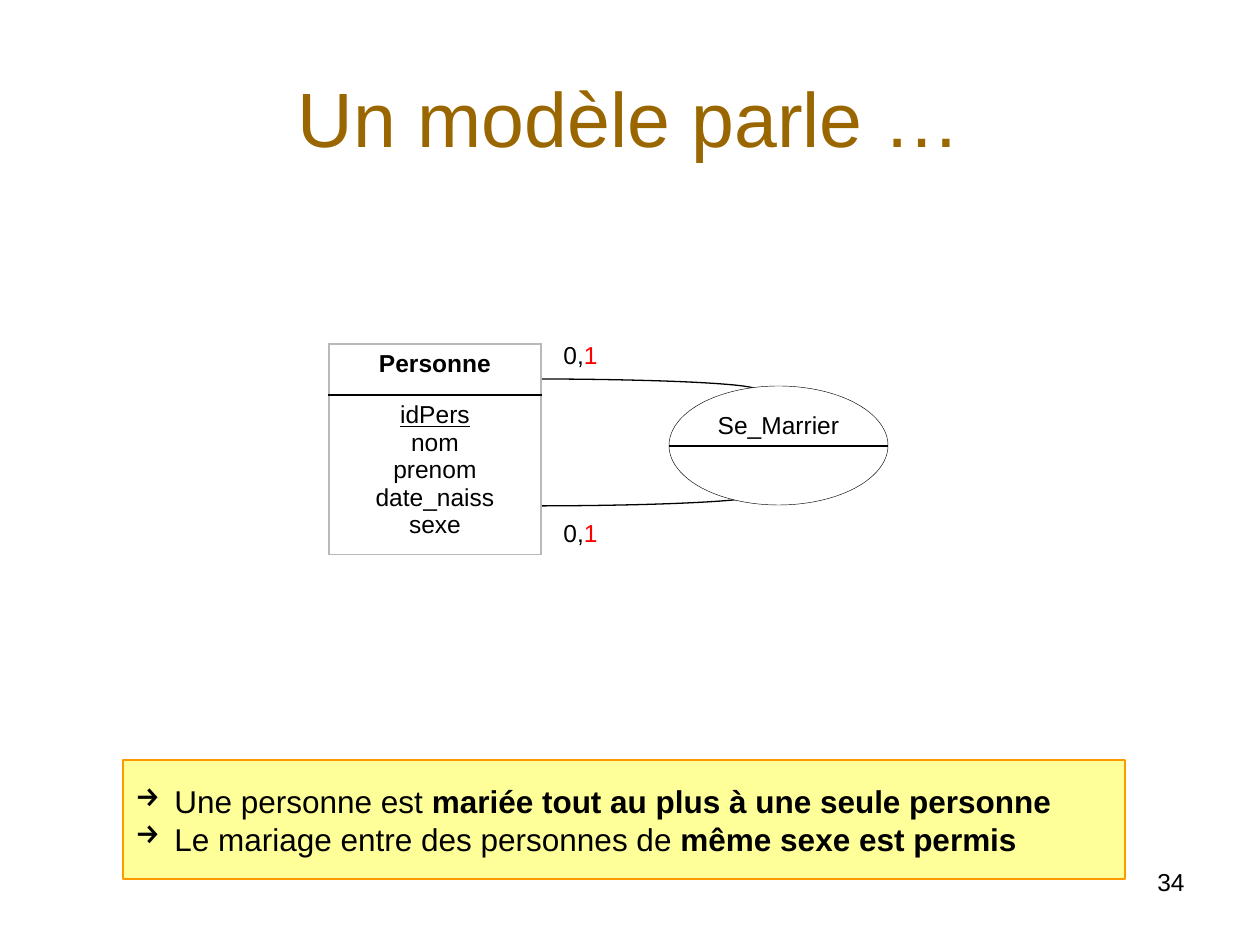
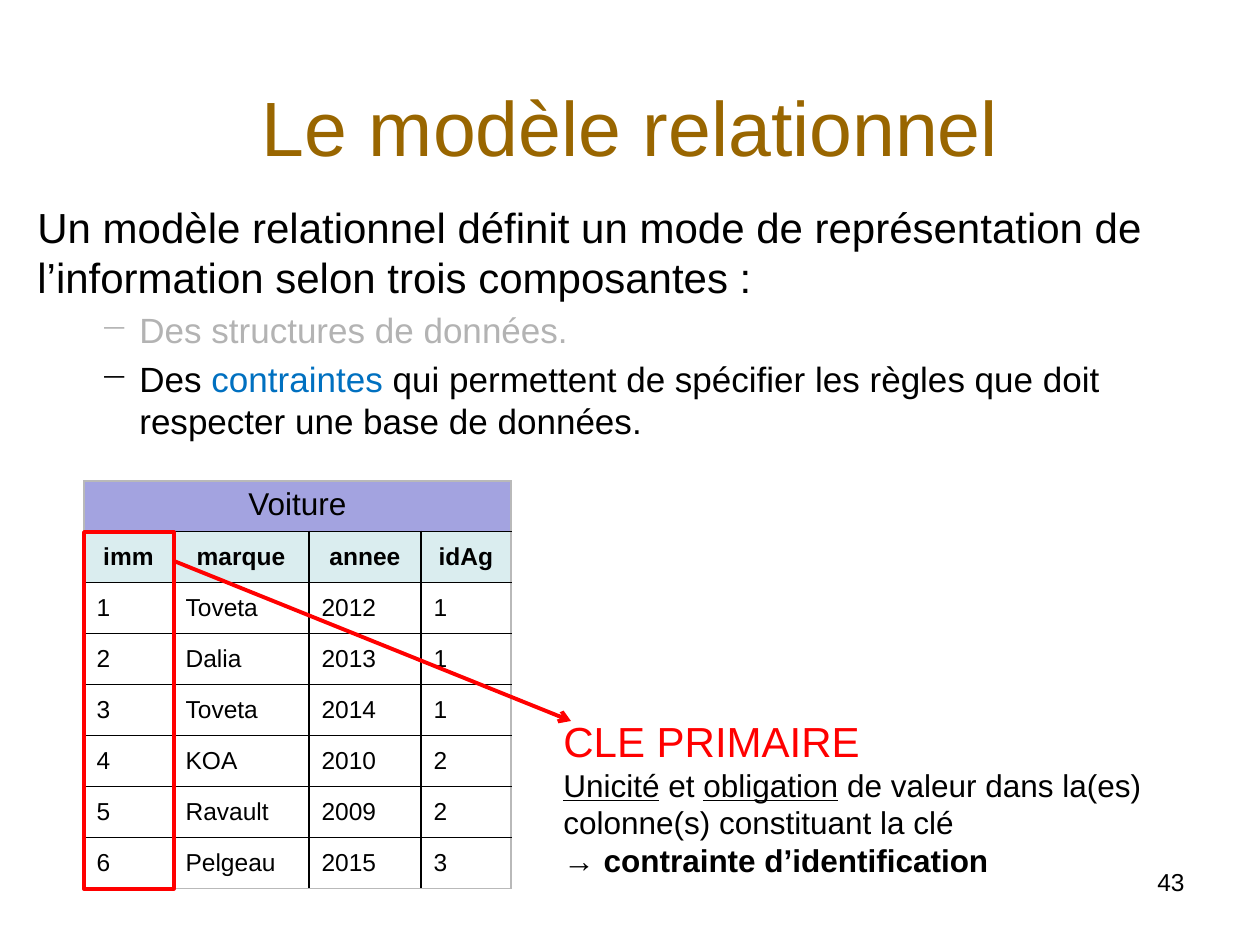
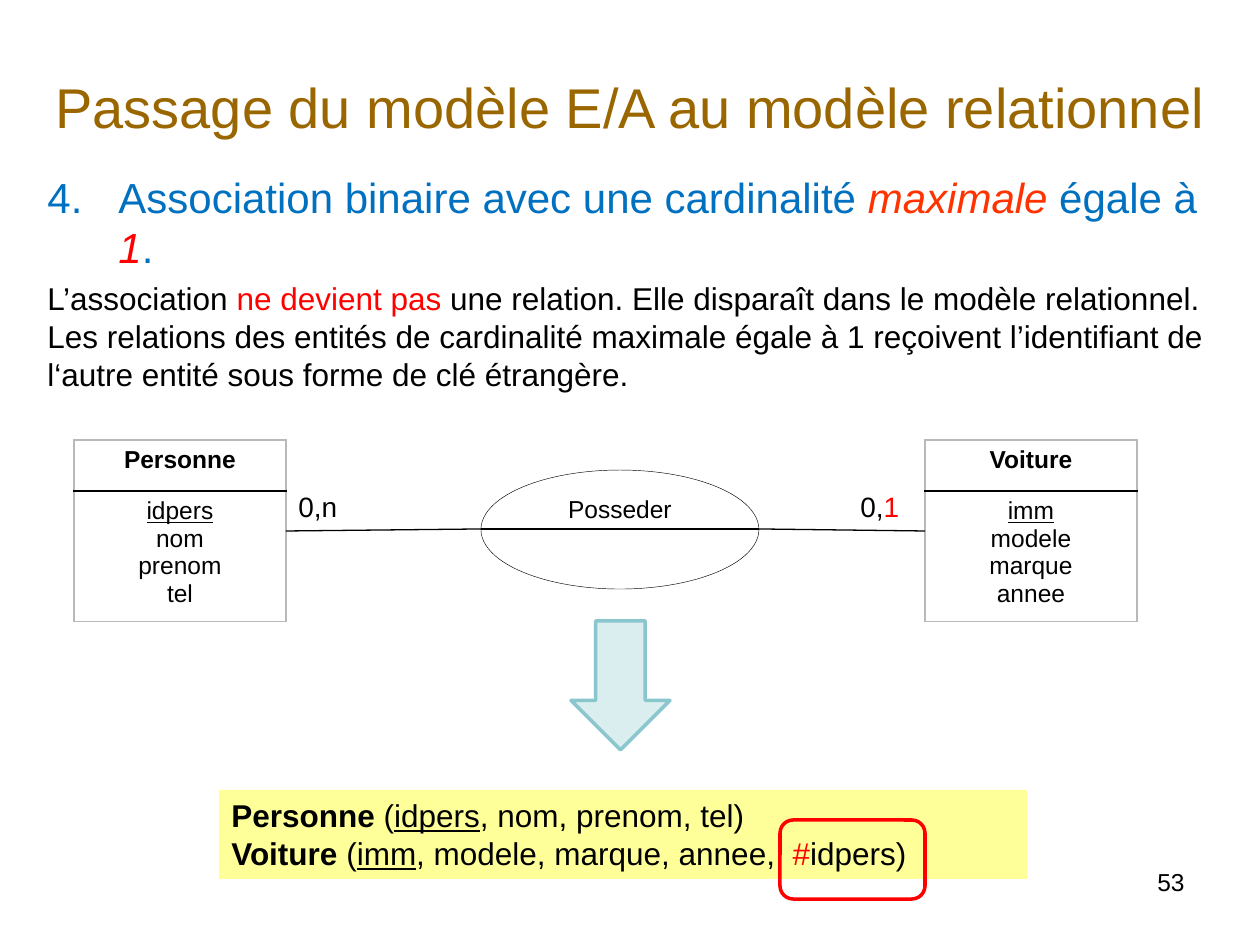
from pptx import Presentation
from pptx.dml.color import RGBColor
from pptx.enum.shapes import MSO_CONNECTOR, MSO_SHAPE
from pptx.enum.text import MSO_ANCHOR, PP_ALIGN
from pptx.oxml.ns import qn
from pptx.util import Emu, Pt
from lxml.etree import SubElement

PX = 914400 / 126
COLORS = {
    "black": "000000", "white": "FFFFFF", "title": "996600", "red": "FF0000",
    "orange": "FF9900", "vermilion": "FF3300", "yellow": "FFFF99", "blue": "0070C0",
    "faded": "B3B3B3", "lavender": "A3A3E0", "mint": "DAEDEF", "teal": "8AC6CD",
    "edge": "B9B9B9",
}
RGB = {name: RGBColor.from_string(value) for name, value in COLORS.items()}
RED, BOLD, UNDERLINE = {"color": "red"}, {"bold": True}, {"underline": True}


def write(frame, *spans, size=14, color="black", bold=False, align=PP_ALIGN.LEFT,
          before=0, bullet=None, start=None, indent=0):
    para = frame.paragraphs[0]
    if para.runs:
        para = frame.add_paragraph()
        para.space_before = Pt(before)
    para.alignment = align
    if bullet or start:
        left, hanging = indent
        properties = para._p.get_or_add_pPr()
        properties.set("marL", str(round(left * PX)))
        properties.set("indent", str(round(-hanging * PX)))
        if bullet:
            SubElement(properties, qn("a:buChar"), char=bullet)
        else:
            SubElement(properties, qn("a:buAutoNum"), type="arabicPeriod", startAt=str(start))
    for span in spans:
        text, style = (span, {}) if isinstance(span, str) else span
        run = para.add_run()
        run.text = text
        font = run.font
        font.name, font.size = "Arial", Pt(size)
        font.color.rgb = RGB[style.get("color", color)]
        font.bold = style.get("bold", bold)
        font.italic = style.get("italic", False)
        font.underline = style.get("underline", False)
        if "spacing" in style:
            run._r.get_or_add_rPr().set("spc", str(style["spacing"] * 100))


def add_box(page, kind, *place, fill=None, line=None, weight=1, anchor=MSO_ANCHOR.TOP):
    place = [Emu(round(length * PX)) for length in place]
    if kind is None:
        box = page.shapes.add_textbox(*place)
    else:
        box = page.shapes.add_shape(kind, *place)
        box.shadow.inherit = False
        if fill:
            box.fill.solid()
            box.fill.fore_color.rgb = RGB[fill]
        else:
            box.fill.background()
        if line:
            box.line.color.rgb = RGB[line]
            box.line.width = Pt(weight)
        else:
            box.line.fill.background()
    box.text_frame.word_wrap = True
    box.text_frame.vertical_anchor = anchor
    return box.text_frame


deck = Presentation()
deck.slide_width, deck.slide_height = Emu(round(1260 * PX)), Emu(round(945 * PX))

pages = []
for title, size, left, width, height, number in [
    ("Un modèle parle …", 44, 0, 1260, 158, "34"),
    ("Le modèle relationnel", 44, 25, 1211, 176, "43"),
    ("Passage du modèle E/A au modèle relationnel", 32, 25, 1211, 137, "53"),
]:
    page = deck.slides.add_slide(deck.slide_layouts[6])
    heading = add_box(page, None, left, 38, width, height, anchor=MSO_ANCHOR.MIDDLE)
    write(heading, title, size=size, color="title", align=PP_ALIGN.CENTER)
    write(add_box(page, None, 903, 861, 294, 66), number, align=PP_ALIGN.RIGHT)
    pages.append(page)
marriage, relational, conversion = pages

add_box(marriage, MSO_SHAPE.RIGHT_BRACKET, 530, 379, 226, 127, line="black", weight=0.75)
for page, left, top, width, name in [
    (marriage, 669, 386, 219, "Se_Marrier"),
    (conversion, 481, 470, 278, "Posseder"),
]:
    oval = add_box(page, MSO_SHAPE.OVAL, left, top, width, 119,
                   fill="white", line="black", weight=0.25)
    write(oval, name, align=PP_ALIGN.CENTER)

for page, left, top, size, minimum, maximum in [
    (marriage, 551, 334, 14, "0,", ("1", RED)),
    (marriage, 551, 512, 14, "0,", ("1", RED)),
    (conversion, 286, 483, 16, "0,", "n"),
    (conversion, 848, 483, 16, "0,", ("1", RED)),
]:
    write(add_box(page, None, left, top, 97, 46), minimum, maximum, size=size)

tables = []
for page, left, top, body_height, name, key, *attributes in [
    (marriage, 329, 344, 150, "Personne", "idPers", "nom", "prenom", "date_naiss", "sexe"),
    (conversion, 74, 440, 130, "Personne", "idpers", "nom", "prenom", "tel"),
    (conversion, 925, 440, 130, "Voiture", "imm", "modele", "marque", "annee"),
]:
    place = [Emu(round(length * PX)) for length in (left, top, 212, 51 + body_height)]
    table = page.shapes.add_table(2, 1, *place).table
    table.rows[0].height = Emu(round(51 * PX))
    table.rows[1].height = Emu(round(body_height * PX))
    write(table.cell(0, 0).text_frame, name, bold=True, align=PP_ALIGN.CENTER)
    for span in [(key, UNDERLINE), *attributes]:
        write(table.cell(1, 0).text_frame, span, align=PP_ALIGN.CENTER)
    tables.append((table, {}))

body = add_box(relational, None, 25, 195, 1211, 287)
write(body, "Un modèle relationnel définit un mode de représentation de l’information "
      "selon trois composantes :", size=24)
write(body, "Des structures de données.", size=20, color="faded", before=4,
      bullet="─", indent=(102, 39))
write(body, "Des ", ("contraintes", {"color": "blue"}),
      " qui permettent de spécifier les règles que doit respecter une base de données.",
      size=20, before=4, bullet="─", indent=(102, 39))

car_rows = [
    ("imm", "marque", "annee", "idAg"),
    ("1", "Toveta", "2012", "1"),
    ("2", "Dalia", "2013", "1"),
    ("3", "Toveta", "2014", "1"),
    ("4", "KOA", "2010", "2"),
    ("5", "Ravault", "2009", "2"),
    ("6", "Pelgeau", "2015", "3"),
]
place = [Emu(round(length * PX)) for length in (84, 481, 427, 405)]
cars = relational.shapes.add_table(8, 4, *place).table
for column, width in zip(cars.columns, (89, 136, 112, 90)):
    column.width = Emu(round(width * PX))
for index, row in enumerate(cars.rows):
    row.height = Emu(round((51 if index else 48) * PX))
cars.cell(0, 0).merge(cars.cell(0, 3))
write(cars.cell(0, 0).text_frame, "Voiture", size=18, align=PP_ALIGN.CENTER)
for index, values in enumerate(car_rows, 1):
    header = index == 1
    for column, value in enumerate(values):
        cell = cars.cell(index, column)
        cell.vertical_anchor = MSO_ANCHOR.MIDDLE
        write(cell.text_frame, value, bold=header,
              align=PP_ALIGN.CENTER if header else PP_ALIGN.LEFT)
tables.append((cars, {0: "lavender", 1: "mint"}))

for table, row_fills in tables:
    table.first_row = table.horz_banding = False
    last_row, last_column = len(table.rows) - 1, len(table.columns) - 1
    for row in range(last_row + 1):
        for column in range(last_column + 1):
            cell = table.cell(row, column)
            if cell.is_spanned:
                continue
            outer = {
                "a:lnL": column == 0,
                "a:lnR": column + cell.span_width - 1 == last_column,
                "a:lnT": row == 0,
                "a:lnB": row == last_row,
            }
            properties = cell._tc.get_or_add_tcPr()
            for side, is_outer in outer.items():
                border = SubElement(properties, qn(side), w=str(Pt(1)))
                paint = SubElement(border, qn("a:solidFill"))
                SubElement(paint, qn("a:srgbClr"), val=COLORS["edge" if is_outer else "black"])
            cell.fill.solid()
            cell.fill.fore_color.rgb = RGB[row_fills.get(row, "white")]

key_note = add_box(relational, None, 551, 709, 709, 178)
write(key_note, "CLE PRIMAIRE", size=24, color="red")
write(key_note, ("Unicité", UNDERLINE), " et ", ("obligation", UNDERLINE),
      " de valeur dans la(es) colonne(s) constituant la clé", size=18)
write(key_note, "→ ", ("contrainte d’identification", BOLD), size=18)
add_box(relational, MSO_SHAPE.RECTANGLE, 84, 532, 90, 357, line="red", weight=2)

rules = add_box(marriage, MSO_SHAPE.RECTANGLE, 123, 760, 1002, 119, fill="yellow",
                line="orange", weight=0.75, anchor=MSO_ANCHOR.MIDDLE)
for opening, ending in [
    ("Une personne est ", "mariée tout au plus à une seule personne"),
    ("Le mariage entre des personnes de ", "même sexe est permis"),
]:
    write(rules, opening, (ending, BOLD), size=18, bullet="→", indent=(39, 39))

body = add_box(conversion, None, 35, 165, 1201, 260)
write(body, "Association binaire avec une cardinalité ",
      ("maximale ", {"color": "vermilion", "italic": True}), "égale à ",
      ("1", {"color": "red", "italic": True}), ".",
      size=24, color="blue", start=4, indent=(71, 71))
write(body, "L’association ", ("ne devient pas ", RED),
      "une relation. Elle disparaît dans le modèle relationnel. Les relations des entités "
      "de cardinalité maximale égale à 1 reçoivent l’identifiant de l‘autre entité sous "
      "forme de clé étrangère.", size=18, before=4)

schema = add_box(conversion, MSO_SHAPE.RECTANGLE, 219, 790, 808, 89, fill="yellow")
write(schema, ("Personne ", BOLD), "(", ("idpers", UNDERLINE), ", nom, prenom, tel)", size=18)
write(schema, ("Voiture ", BOLD), "(", ("imm", UNDERLINE), ", modele, marque, annee,",
      (" ", {"spacing": 5}), ("#", RED), "idpers)", size=18)
add_box(conversion, MSO_SHAPE.DOWN_ARROW, 571, 621, 99, 129,
        fill="mint", line="teal", weight=2)
add_box(conversion, MSO_SHAPE.ROUNDED_RECTANGLE, 780, 820, 145, 79, line="red", weight=2)

for page, ends, color, weight, arrow in [
    (marriage, (669, 446, 888, 446), "black", 0.75, False),
    (relational, (174, 561, 571, 721), "red", 2.25, True),
    (conversion, (481, 529, 759, 529), "black", 0.75, False),
    (conversion, (481, 529, 286, 531), "black", 0.75, False),
    (conversion, (759, 529, 925, 531), "black", 0.75, False),
]:
    link = page.shapes.add_connector(MSO_CONNECTOR.STRAIGHT,
                                     *[Emu(round(length * PX)) for length in ends])
    link.line.color.rgb = RGB[color]
    link.line.width = Pt(weight)
    if arrow:
        SubElement(link.line._get_or_add_ln(), qn("a:tailEnd"), type="arrow")
    SubElement(link._element.spPr, qn("a:effectLst"))

deck.save("out.pptx")
